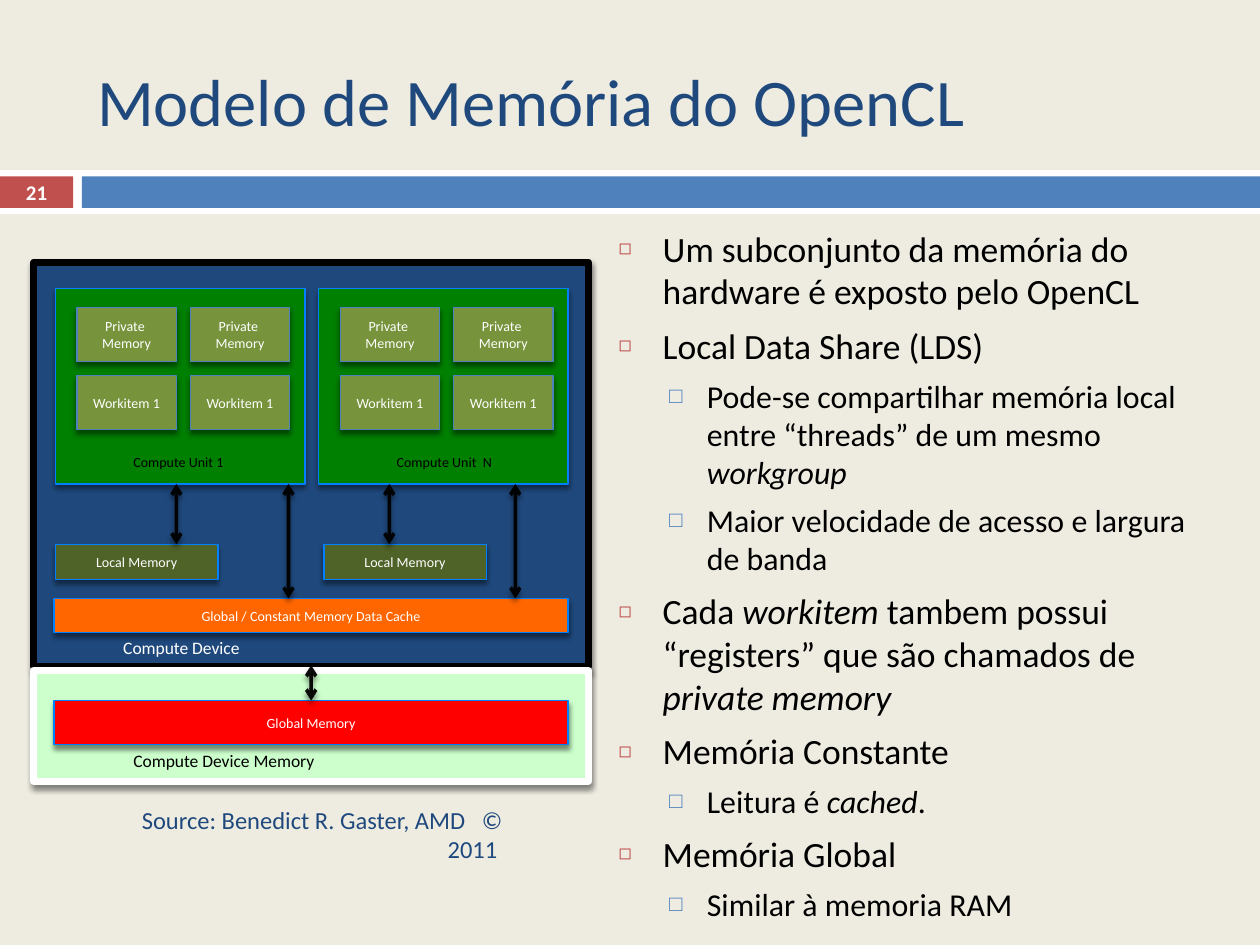
import pptx
import pptx.util
import pptx.dml.color
import pptx.enum.shapes
import pptx.enum.text
import pptx.oxml
from pptx.util import Inches, Pt

TITLE = "Modelo de Memória do OpenCL"
BODY = [
    (0, "Um subconjunto da memória do hardware é exposto pelo OpenCL"),
    (0, "Local Data Share (LDS)"),
    (1, "Pode-se compartilhar memória local entre “threads” de um mesmo *workgroup"),
    (1, "Maior velocidade de acesso e largura de banda"),
    (0, "Cada *workitem *tambem possui “registers” que são chamados de *private memory"),
    (0, "Memória Constante"),
    (1, "Leitura é *cached*."),
    (0, "Memória Global"),
    (1, "Similar à memoria RAM"),
]
LEVELS = [
    dict(size=20.3, left=0.35, hang=-0.35, gap=7, mark="◻", hue="C0504D", pct=60),
    dict(size=18.2, left=0.7, hang=-0.3, gap=5.5, mark="□", hue="4F81BD", pct=70),
]
BANDS = [
    ((0, 1.35, 10, 0.35), "FFFFFF"),
    ((0, 1.4, 0.58, 0.25), "C0504D"),
    ((0.65, 1.4, 9.35, 0.25), "4F81BD"),
]
EDGE = "0080FF"
FRAMES = [
    ((0.27, 2.08, 4.4, 3.21), "1F497D", "000000"),
    ((0.27, 5.32, 4.4, 0.88), "CCFFCC", "FFFFFF"),
]
BARS = [
    ((0.43, 4.75, 4.08, 0.27), "FF6600", "Global / Constant Memory Data Cache"),
    ((0.43, 5.56, 4.08, 0.35), "FF0000", "Global Memory"),
]
UNITS = [("Compute Unit 1", 0.44), ("Compute Unit  N", 2.53)]
CELLS = ["Private \nMemory", "Workitem 1"]
LOCALS = [0.44, 2.57]
ARROWS = [
    (1.4, 3.84, 4.32), (2.29, 3.84, 4.75),
    (3.09, 3.84, 4.32), (4.09, 3.84, 4.75), (2.47, 5.28, 5.56),
]
NS = 'xmlns:a="http://schemas.openxmlformats.org/drawingml/2006/main"'
SHADE = (f'<a:effectLst {NS}><a:outerShdw blurRad="38100" dist="30480" dir="5400000" '
         'rotWithShape="0"><a:srgbClr val="000000"><a:alpha val="45000"/></a:srgbClr>'
         '</a:outerShdw></a:effectLst>')
ALIGN = pptx.enum.text.PP_ALIGN
MID = pptx.enum.text.MSO_ANCHOR.MIDDLE


def color(code):
    return pptx.dml.color.RGBColor.from_string(code)


def xml(text):
    return pptx.oxml.parse_xml(text)


def place(item, spot):
    item.left, item.top, item.width, item.height = map(Inches, spot)


def style(font, size, hue, bold=None):
    font.name, font.size, font.bold = "Calibri", Pt(size), bold
    font.color.rgb = color(hue)


def write(item, text, size, hue, align=ALIGN.LEFT, anchor=None, bold=None, wrap=True):
    frame = item.text_frame
    frame.text = text
    frame.word_wrap = wrap
    if anchor is not None:
        frame.vertical_anchor = anchor
    for para in frame.paragraphs:
        para.alignment = align
        for run in para.runs:
            style(run.font, size, hue, bold)


def label(spot, *args, **opts):
    write(slide.shapes.add_textbox(*map(Inches, spot)), *args, **opts)


def block(spot, fill, edge=None, width=0.79, text=None):
    kind = pptx.enum.shapes.MSO_SHAPE.RECTANGLE
    item = slide.shapes.add_shape(kind, *map(Inches, spot))
    item.shadow.inherit = False
    item.fill.solid()
    item.fill.fore_color.rgb = color(fill)
    if edge:
        item.line.color.rgb = color(edge)
        item.line.width = Pt(width)
        props = item._element.spPr
        props.remove(props[-1])
        props.append(xml(SHADE))
    else:
        item.line.fill.background()
    if text:
        write(item, text, 8, "FFFFFF", ALIGN.CENTER, MID)


def arrow(x, top, end):
    kind = pptx.enum.shapes.MSO_CONNECTOR.STRAIGHT
    item = slide.shapes.add_connector(kind, *map(Inches, (x, top, x, end)))
    item.line.color.rgb = color("000000")
    item.line.width = Pt(2)
    line = item.line._get_or_add_ln()
    line[0][0].append(xml(f'<a:alpha {NS} val="95000"/>'))
    for tip in ("headEnd", "tailEnd"):
        line.append(xml(f'<a:{tip} {NS} type="arrow"/>'))
    item._element.spPr.append(xml(SHADE))


def bullet(para, level, text, first):
    look = LEVELS[level]
    para.level = level
    props = para._p.get_or_add_pPr()
    props.set("marL", str(Inches(look["left"])))
    props.set("indent", str(Inches(look["hang"])))
    for part in (
        f'<a:buClr {NS}><a:srgbClr val="{look["hue"]}"/></a:buClr>',
        f'<a:buSzPct {NS} val="{look["pct"]}000"/>',
        f'<a:buChar {NS} char="{look["mark"]}"/>',
    ):
        props.append(xml(part))
    para.space_before = Pt(0 if first else look["gap"])
    for spot, piece in enumerate(text.split("*")):
        run = para.add_run()
        run.text = piece
        style(run.font, look["size"], "000000")
        run.font.italic = spot % 2 == 1


deck = pptx.Presentation()
deck.slide_width, deck.slide_height = Inches(10), Inches(7.5)
slide = deck.slides.add_slide(deck.slide_layouts[1])
slide.background.fill.solid()
slide.background.fill.fore_color.rgb = color("EEECE1")

for spot, fill in BANDS:
    block(spot, fill)
label((0, 1.39, 0.58, 0.27), "21", 11.9, "FFFFFF", ALIGN.CENTER, MID, True)

title, body = slide.placeholders
place(title, (0.67, 0.25, 8.92, 1.08))
write(title, TITLE, 38, "1F497D", anchor=MID)
place(body, (4.81, 1.75, 4.98, 4.95))
frame = body.text_frame
for item in (title, body):
    item.text_frame.auto_size = pptx.enum.text.MSO_AUTO_SIZE.NONE
for row, (level, text) in enumerate(BODY):
    para = frame.add_paragraph() if row else frame.paragraphs[0]
    bullet(para, level, text, row == 0)

label((0.92, 6.42, 3.17, 0.4), "Source: Benedict R. Gaster, AMD   © 2011 ",
      14, "1F497D", ALIGN.RIGHT, MID)

for spot, fill, edge in FRAMES:
    block(spot, fill, edge, 4)
for name, left in UNITS:
    block((left, 2.29, 1.98, 1.55), "008000", EDGE)
    for col in range(2):
        for row, text in enumerate(CELLS):
            spot = (left + 0.17 + 0.9 * col, 2.44 + 0.54 * row, 0.79, 0.43)
            block(spot, "77933C", "4F81BD", text=text)
    label((left + 0.52, 3.55, 1.03, 0.24), name, 8, "000000")
for left in LOCALS:
    block((left, 4.32, 1.29, 0.28), "4F6228", EDGE, text="Local Memory")
for spot, fill, text in BARS:
    block(spot, fill, EDGE, text=text)
for ends in ARROWS:
    arrow(*ends)
label((0.88, 5.01, 1.24, 0.27), "Compute Device", 10, "FFFFFF")
label((0.96, 5.9, 1.79, 0.27), "Compute Device Memory", 10, "000000", wrap=False)

deck.save("out.pptx")
